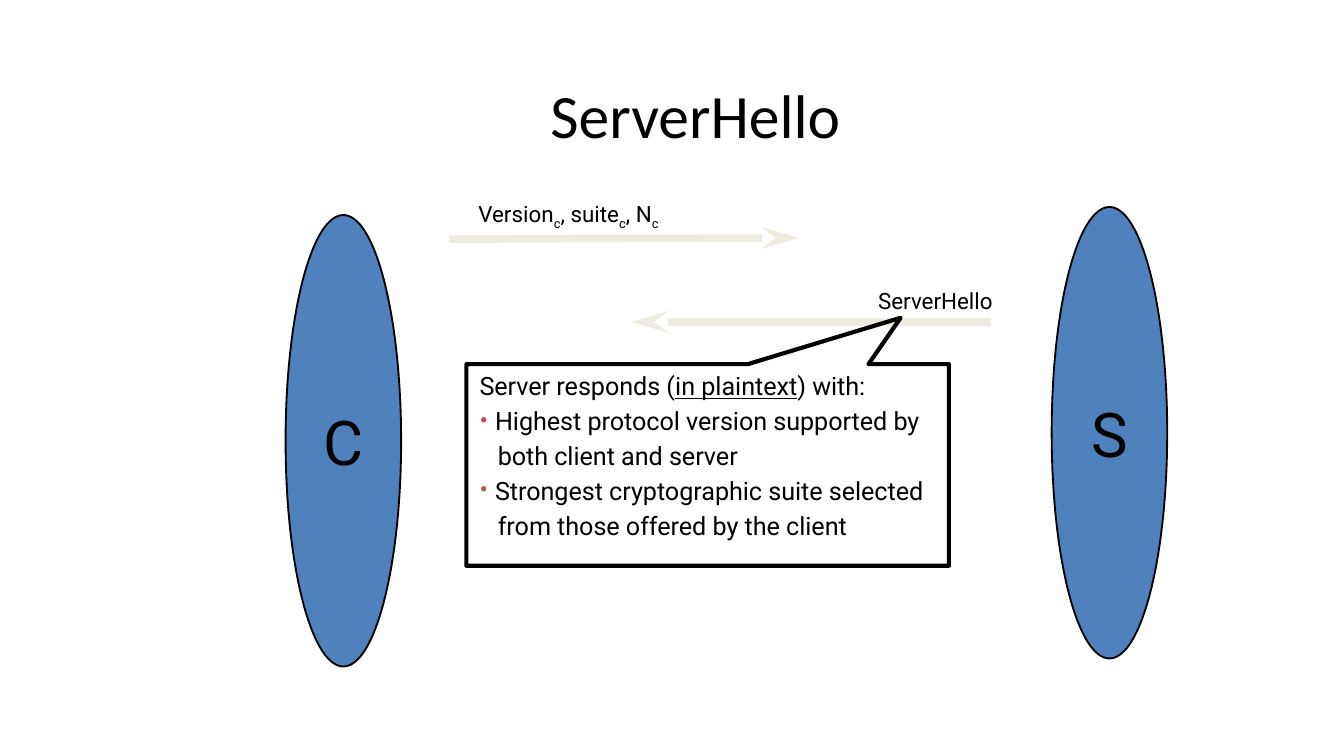
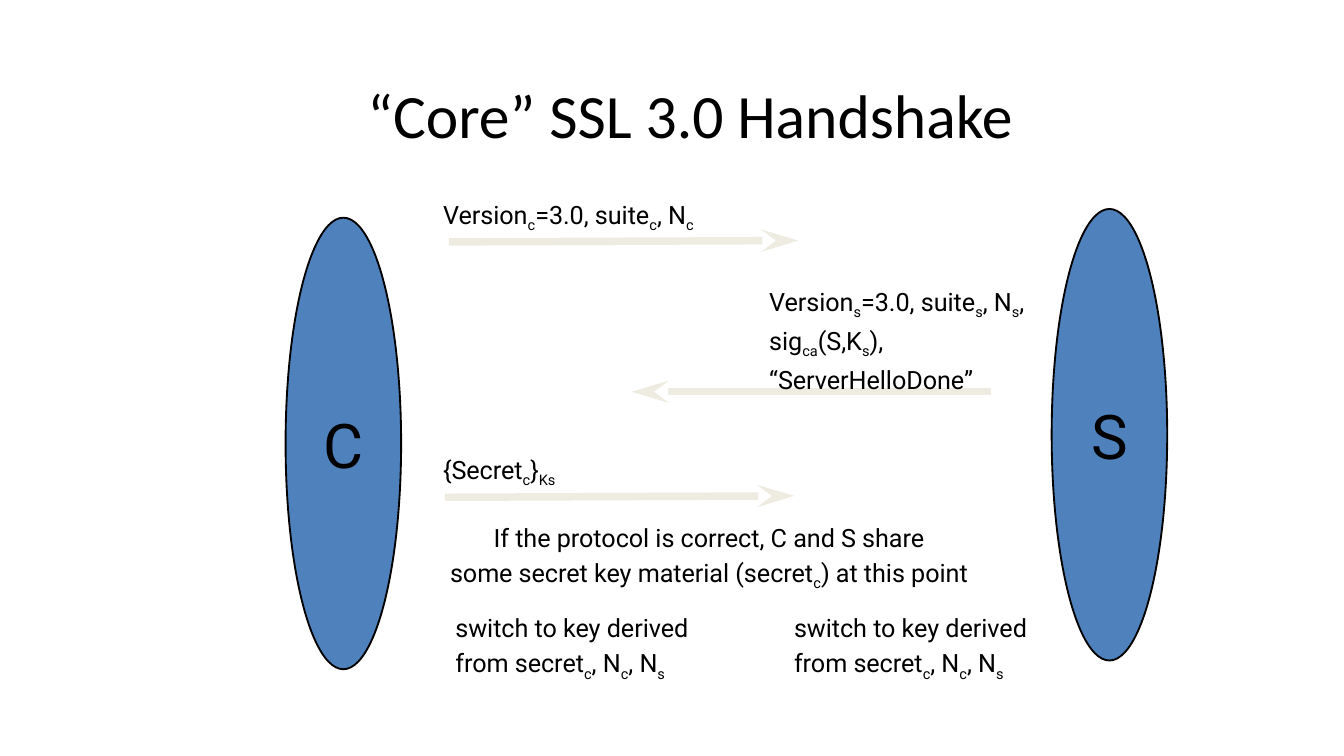
from pptx import Presentation
from pptx.dml.color import RGBColor
from pptx.enum.shapes import MSO_CONNECTOR as Connector, MSO_SHAPE as Shape
from pptx.enum.text import MSO_ANCHOR as Anchor, MSO_AUTO_SIZE as AutoSize, PP_ALIGN as Align
from pptx.oxml.ns import qn
from pptx.util import Pt
from lxml.etree import SubElement

PX = 4572  # 200 px to the inch
BLACK = RGBColor(0x00, 0x00, 0x00)
BLUE = RGBColor(0x4F, 0x81, 0xBD)
CREAM = RGBColor(0xEE, 0xEC, 0xE1)
RED = RGBColor(0xC0, 0x50, 0x4D)
LEFT, CENTER = Align.LEFT, Align.CENTER
BULLET_HANG, LINE_INDENT = 23, 27


def emu(*lengths):
    return [length * PX for length in lengths]


def write(box, lines, size, align=LEFT, font="Roboto", wrap=False, underline=False):
    """Fill a box; text between bars is subscript or underlined, "•" starts a bullet, ">" indents."""
    frame = box.text_frame
    frame.word_wrap = wrap
    for index, line in enumerate(lines):
        para = frame.paragraphs[0] if index == 0 else frame.add_paragraph()
        para.alignment = align
        if index:
            para.space_before = Pt(2.5)
        if line[0] == "•":
            properties = para._p.get_or_add_pPr()
            properties.set("marL", str(BULLET_HANG * PX))
            properties.set("indent", str(-BULLET_HANG * PX))
            color = SubElement(properties, qn("a:buClr"))
            SubElement(color, qn("a:srgbClr"), val=str(RED))
            SubElement(properties, qn("a:buFont"), typeface=font)
            SubElement(properties, qn("a:buChar"), char="•")
        elif line[0] == ">":
            para._p.get_or_add_pPr().set("marL", str(LINE_INDENT * PX))
        para.font.name, para.font.size = font, Pt(size)
        para.font.color.rgb = BLACK
        for part, text in enumerate(line.lstrip("•>").split("|")):
            if not text:
                continue
            span = para.add_run()
            span.text = text
            if part % 2 and underline:
                span.font.underline = True
            elif part % 2:
                span._r.get_or_add_rPr().set("baseline", "-25000")


switch_lines = ["switch to key derived", "from secret|c|, N|c|, N|s|"]

# Parties: letter, left, top. Arrows: start x, y, end x, y.
# Labels: left, top, width, height, size, alignment, lines.
slides = [
    dict(
        title="ServerHello", title_left=420,
        parties=[("C", 425, 320), ("S", 1565, 308)],
        arrows=[(668, 356, 1188, 354), (1475, 479, 940, 479)],
        labels=[
            (688, 288, 316, 60, 12, CENTER, ["Version|c|, suite|c|, N|c|"]),
            (1287, 417, 210, 60, 12, LEFT, ["ServerHello"]),
        ],
    ),
    dict(
        title="“Core” SSL 3.0 Handshake", title_left=412,
        parties=[("C", 425, 324), ("S", 1565, 311)],
        arrows=[(668, 360, 1188, 358), (1475, 583, 940, 583), (662, 740, 1182, 738)],
        labels=[
            (1125, 416, 440, 174, 13.5, LEFT,
             ["Version|s|=3.0, suite|s|, N|s|,", "sig|ca|(S,K|s|),", "“ServerHelloDone”"]),
            (632, 287, 428, 66, 13.5, CENTER, ["Version|c|=3.0, suite|c|, N|c|"]),
            (633, 666, 220, 66, 13.5, CENTER, ["{Secret|c|}|Ks|"]),
            (658, 902, 396, 120, 13.5, LEFT, switch_lines),
            (643, 767, 824, 120, 13.5, CENTER,
             ["If the protocol is correct, C and S share",
              "some secret key material (secret|c|) at this point"]),
            (1162, 902, 396, 120, 13.5, LEFT, switch_lines),
        ],
    ),
]

deck = Presentation()
deck.slide_width, deck.slide_height = emu(2000, 1125)
pages = []

for content in slides:
    page = deck.slides.add_slide(deck.slide_layouts[6])
    pages.append(page)

    title = page.shapes.add_textbox(*emu(content["title_left"], 76, 1230, 188))
    title.text_frame.vertical_anchor = Anchor.MIDDLE
    write(title, [content["title"]], 33, CENTER, "Calibri", wrap=True)

    for letter, left, top in content["parties"]:
        party = page.shapes.add_shape(Shape.OVAL, *emu(left, top, 172, 672))
        party.shadow.inherit = False
        party.fill.solid()
        party.fill.fore_color.rgb = BLUE
        party.line.color.rgb = BLACK
        party.line.width = Pt(1)
        party.text_frame.vertical_anchor = Anchor.MIDDLE
        write(party, [letter], 33, CENTER)

    for ends in content["arrows"]:
        arrow = page.shapes.add_connector(Connector.STRAIGHT, *emu(*ends))
        arrow.line.color.rgb = CREAM
        arrow.line.width = Pt(4)
        SubElement(arrow.line._get_or_add_ln(), qn("a:tailEnd"), type="stealth", len="lg")
        SubElement(arrow._element.spPr, qn("a:effectLst"))

    for left, top, width, height, size, align, lines in content["labels"]:
        label = page.shapes.add_textbox(*emu(left, top, width, height))
        label.text_frame.auto_size = AutoSize.SHAPE_TO_FIT_TEXT
        write(label, lines, size, align)

callout = pages[0].shapes.add_shape(Shape.RECTANGULAR_CALLOUT, *emu(694, 542, 718, 300))
callout.adjustments[0], callout.adjustments[1] = 0.4, -0.73
callout.shadow.inherit = False
callout.fill.background()
callout.line.color.rgb = BLACK
callout.line.width = Pt(2.25)
callout.text_frame.vertical_anchor = Anchor.TOP
write(callout, [
    "Server responds (|in plaintext|) with:",
    "•Highest protocol version supported by",
    ">both client and server",
    "•Strongest cryptographic suite selected",
    ">from those offered by the client",
], 13.5, wrap=True, underline=True)

deck.save("out.pptx")
